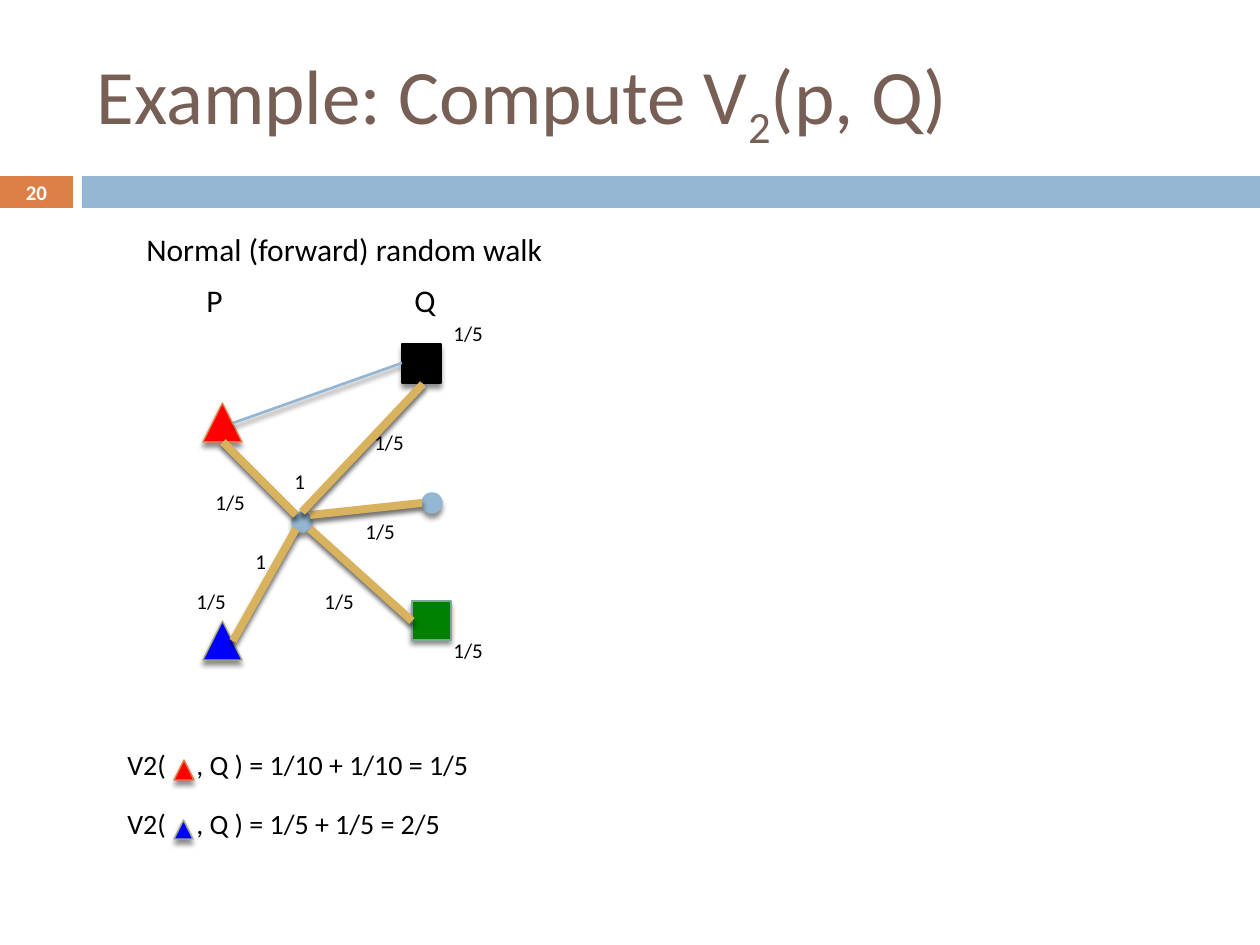
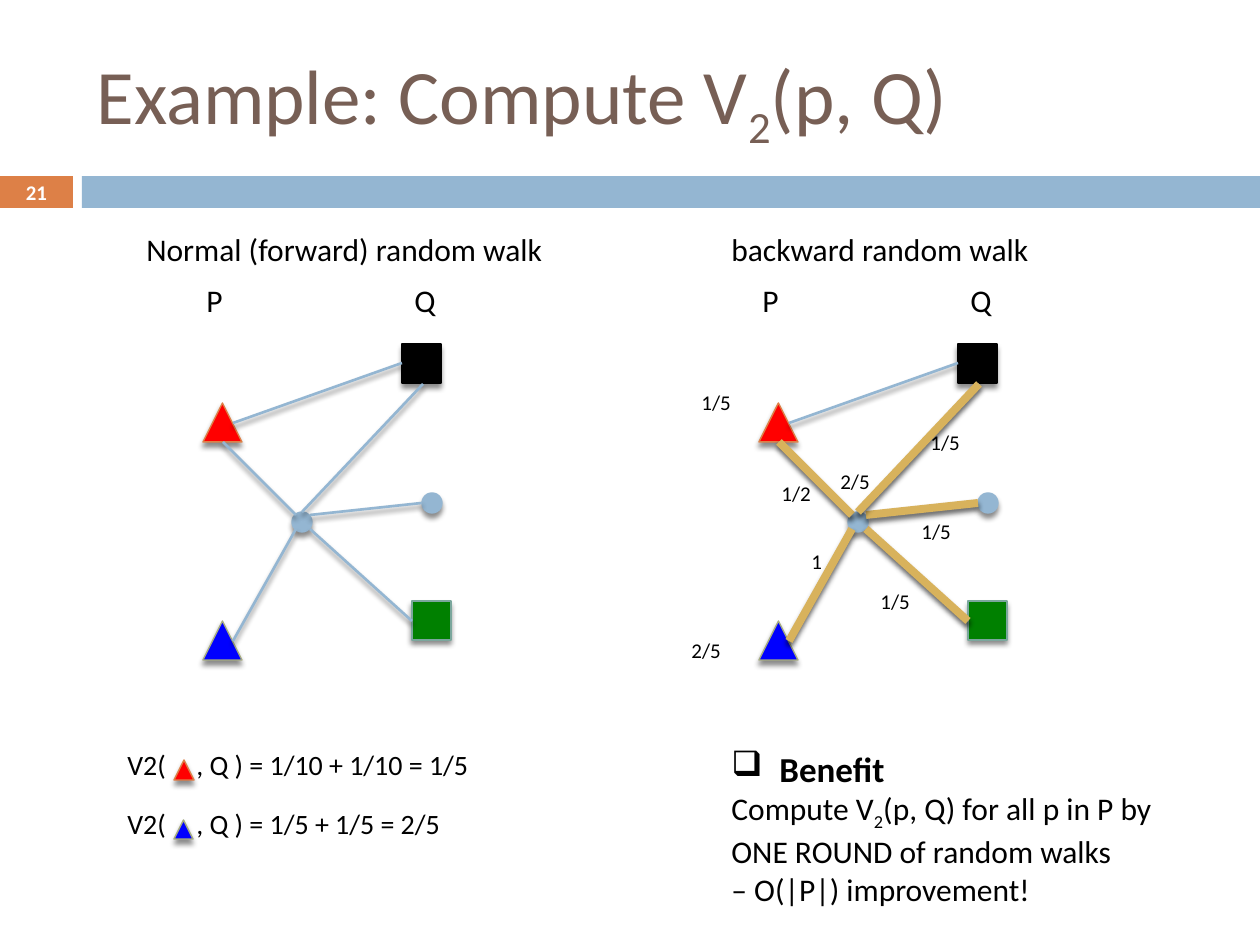
from lxml.etree import SubElement
from pptx import Presentation
from pptx.dml.color import RGBColor
from pptx.enum.shapes import MSO_CONNECTOR, MSO_SHAPE
from pptx.enum.text import MSO_ANCHOR, MSO_AUTO_SIZE as AUTO_SIZE, PP_ALIGN as ALIGN
from pptx.oxml.ns import qn
from pptx.util import Emu, Pt

PX = 914400 / 126
FONT = "Calibri"
BLACK, WHITE, BROWN = "000000", "FFFFFF", "775F55"
BLUE, ORANGE, GOLD = "94B6D2", "DD8047", "D8B25C"
RED_NODE = ("FF0000", ORANGE)
BLUE_NODE = ("0000FF", "A5AB81")
GREEN_NODE = ("008000", "7BA79D")
TRIANGLE, SQUARE, CIRCLE = MSO_SHAPE.ISOSCELES_TRIANGLE, MSO_SHAPE.RECTANGLE, MSO_SHAPE.OVAL


def paint(fill, color):
    fill.solid()
    fill.fore_color.rgb = RGBColor.from_string(color)


def add_text(frame, text, size=12, color=BLACK, bold=False, align=ALIGN.LEFT):
    paragraph = frame.add_paragraph() if frame.text else frame.paragraphs[0]
    paragraph.alignment = align
    for index, part in enumerate(text.split("_")):
        run = paragraph.add_run()
        run.text = part
        run.font.name, run.font.size, run.font.bold = FONT, Pt(size), bold
        paint(run.font.fill, color)
        if index % 2:
            run.font._element.set("baseline", "-25000")
    return paragraph


nodes = [
    (SQUARE, 402, 344, 39, (BLACK, BLACK)),
    (TRIANGLE, 203, 621, 39, BLUE_NODE),
    (TRIANGLE, 203, 403, 39, RED_NODE),
    (SQUARE, 412, 601, 39, GREEN_NODE),
    (CIRCLE, 292, 512, 20, (BLUE, BLUE)),
    (CIRCLE, 422, 493, 20, (BLUE, BLUE)),
]
formula_nodes = [(TRIANGLE, 174, 760, 20, RED_NODE), (TRIANGLE, 174, 820, 19, BLUE_NODE)]
direct_edge = (233, 423, 402, 363)
walked_edges = [
    (223, 442, 296, 515),
    (310, 529, 412, 621),
    (310, 515, 422, 503),
    (296, 529, 233, 641),
    (302, 512, 423, 384),
]
edge_labels = [("1", 243, 542), ("1/5", 362, 423), ("1/5", 353, 512), ("1/5", 312, 582)]
forward_labels = edge_labels + [
    ("1/5", 203, 483),
    ("1/5", 441, 314),
    ("1/5", 441, 631),
    ("1/5", 184, 582),
    ("1", 282, 462),
]
backward_labels = edge_labels + [
    ("1/2", 213, 474),
    ("1/5", 133, 383),
    ("2/5", 123, 631),
    ("2/5", 272, 462),
]
formulas = [
    ("V2(\t, Q ) = 1/10 + 1/10 = 1/5", 741),
    ("V2(\t, Q ) = 1/5 + 1/5 = 2/5", 800),
]
forward_title = ("Normal (forward) random walk", 134)
backward_title = ("backward random walk", 719)
pages = [
    (20, [(0, forward_title, True, forward_labels)]),
    (21, [(0, forward_title, False, []), (556, backward_title, True, backward_labels)]),
]

presentation = Presentation()
presentation.slide_width, presentation.slide_height = Emu(9144000), Emu(6858000)
layout = presentation.slide_layouts[5]
layout_title = layout.placeholders[0]
layout_title.left, layout_title.top, layout_title.width, layout_title.height = [
    Emu(int(length * PX)) for length in (84, 32, 1124, 136)
]

for number, graphs in pages:
    slide = presentation.slides.add_slide(layout)
    title_frame = slide.shapes.title.text_frame
    title_frame.vertical_anchor = MSO_ANCHOR.MIDDLE
    add_text(title_frame, "Example: Compute V_2_(p, Q)", size=44, color=BROWN)

    if number == pages[0][0]:
        for left, width, color in [(0, 73, ORANGE), (82, 1178, BLUE)]:
            band = slide.shapes.add_shape(
                SQUARE, *[Emu(int(length * PX)) for length in (left, 176, width, 32)]
            )
            paint(band.fill, color)
            band.line.fill.background()
            band.shadow.inherit = False
            layout.shapes.element.append(band.element)

    node_list = list(formula_nodes)
    edges = []
    texts = [(text, 115, top, 427, 47, 16) for text, top in formulas]
    for offset, (heading, heading_left), walked, labels in graphs:
        node_list += [(kind, left + offset, *rest) for kind, left, *rest in nodes]
        thin_edges = [(edge, BLUE, 1.5) for edge in [direct_edge] + walked_edges]
        thick_edges = [(edge, GOLD, 4.5) for edge in walked_edges if walked]
        edges += [
            ((x1 + offset, y1, x2 + offset, y2), color, width)
            for (x1, y1, x2, y2), color, width in thin_edges + thick_edges
        ]
        texts.append((heading, heading_left, 224, 456, 50, 18))
        texts += [(name, left + offset, 275, 49, 50, 18) for name, left in [("P", 194), ("Q", 402)]]
        texts += [(label, left + offset, top, 79, 38, 12) for label, left, top in labels]

    shadowed = []
    for kind, left, top, size, (fill, outline) in node_list:
        node = slide.shapes.add_shape(
            kind, *[Emu(int(length * PX)) for length in (left, top, size, size)]
        )
        paint(node.fill, fill)
        paint(node.line.fill, outline)
        node.line.width = Pt(0.79)
        shadowed.append(node)

    for ends, color, width in edges:
        edge = slide.shapes.add_connector(
            MSO_CONNECTOR.STRAIGHT, *[Emu(int(length * PX)) for length in ends]
        )
        paint(edge.line.fill, color)
        edge.line.width = Pt(width)
        shadowed.append(edge)

    for shape in shadowed:
        effects = SubElement(shape.element.spPr, qn("a:effectLst"))
        shadow = SubElement(
            effects, qn("a:outerShdw"),
            blurRad="38100", dist="30480", dir="5400000", rotWithShape="0",
        )
        shadow_color = SubElement(shadow, qn("a:srgbClr"), val=BLACK)
        SubElement(shadow_color, qn("a:alpha"), val="45000")

    for text, *box, size in texts:
        text_box = slide.shapes.add_textbox(*[Emu(int(length * PX)) for length in box])
        text_box.text_frame.word_wrap = True
        text_box.text_frame.auto_size = AUTO_SIZE.SHAPE_TO_FIT_TEXT
        paragraph = add_text(text_box.text_frame, text, size=size)
        if "\t" in text:
            tabs = SubElement(paragraph._p.get_or_add_pPr(), qn("a:tabLst"))
            SubElement(tabs, qn("a:tab"), pos=str(int(69 * PX)), algn="l")

    page_box = slide.shapes.add_textbox(*[Emu(int(length * PX)) for length in (0, 175, 73, 34)])
    page_box.text_frame.word_wrap = True
    page_box.text_frame.vertical_anchor = MSO_ANCHOR.MIDDLE
    add_text(page_box.text_frame, str(number), size=11.9, color=WHITE, bold=True, align=ALIGN.CENTER)

benefit_box = slide.shapes.add_textbox(*[Emu(int(length * PX)) for length in (719, 741, 496, 170)])
benefit_frame = benefit_box.text_frame
benefit_frame.word_wrap = True
benefit_frame.auto_size = AUTO_SIZE.SHAPE_TO_FIT_TEXT
benefit = add_text(benefit_frame, "Benefit", size=20, bold=True)
properties = benefit._p.get_or_add_pPr()
properties.set("marL", str(int(48 * PX)))
properties.set("indent", str(int(-48 * PX)))
SubElement(properties, qn("a:buChar"), char="❑")
for line in [
    "Compute V_2_(p, Q) for all p in P by",
    "ONE ROUND of random walks",
    "– O(|P|) improvement!",
]:
    add_text(benefit_frame, line, size=18)

presentation.save("out.pptx")
